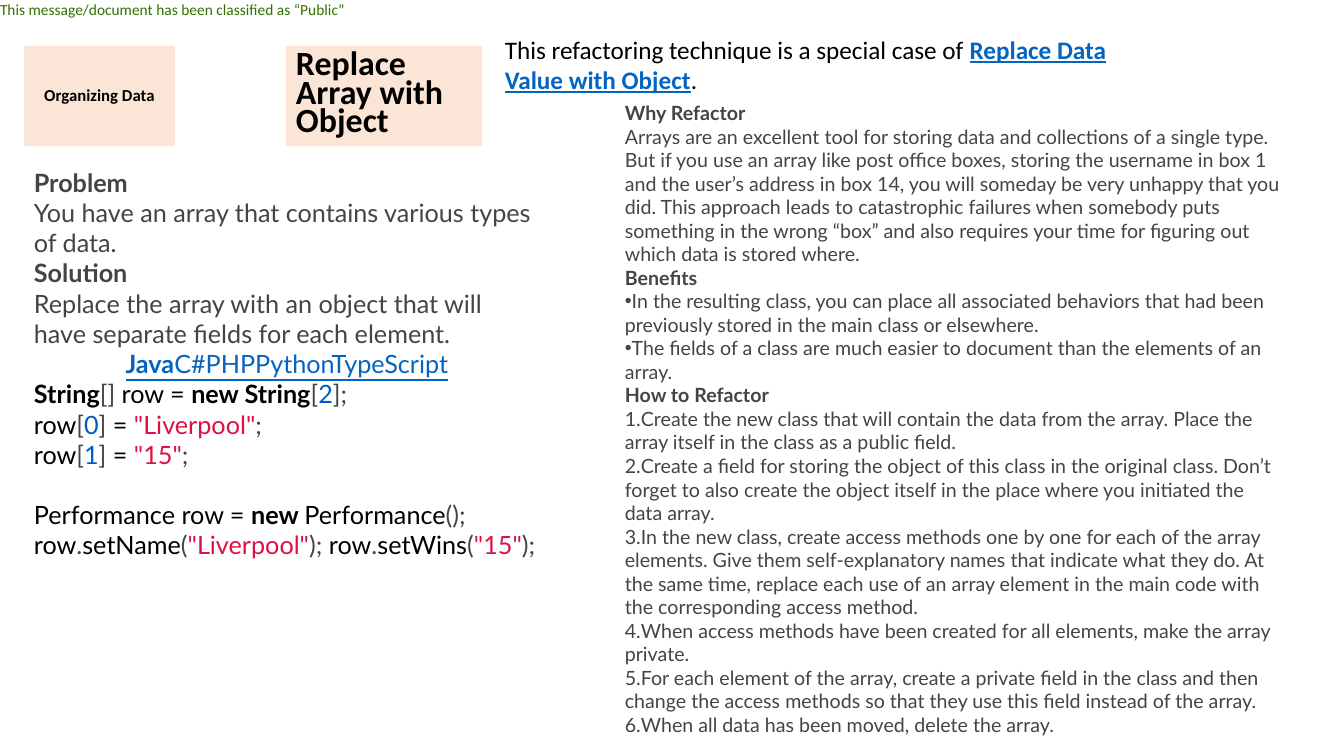
"""Build the "Replace Array with Object" refactoring slide."""
from lxml.etree import SubElement
from pptx import Presentation
from pptx.dml.color import RGBColor
from pptx.enum.shapes import MSO_SHAPE
from pptx.enum.text import MSO_ANCHOR, PP_ALIGN
from pptx.oxml.ns import qn
from pptx.util import Emu, Pt

PX = 914400 / 100.8
COLORS = {"peach": "FBE5D6", "black": "000000", "gray": "444444", "link": "0563C1",
          "number": "005CC5", "string": "DD1144", "green": "317100"}
STYLES = {
    "notice": ("green", False, False),
    "heading": ("gray", True, False),
    "body": ("gray", False, False),
    "name": ("black", False, False),
    "keyword": ("black", True, False),
    "number": ("number", False, False),
    "string": ("string", False, False),
    "link": ("link", False, True),
    "strong link": ("link", True, True),
}

NOTICE = [{"runs": [("This message/document has been classified as “Public”", "notice")]}]
CATEGORY = [{"runs": [("Organizing Data", "keyword")], "align": PP_ALIGN.CENTER}]
TITLE = [{"runs": [("Replace Array with Object", "keyword")]}]
INTRO = [{"runs": [("This refactoring technique is a special case of ", "name"),
                   ("Replace Data Value with Object", "strong link"), (".", "name")]}]
EXAMPLE = [
    {"runs": [("Problem", "heading")]},
    {"runs": [("You have an array that contains various types of data.", "body")]},
    {"runs": [("Solution", "heading")]},
    {"runs": [("Replace the array with an object that will have separate fields "
               "for each element.", "body")]},
    {"runs": [("Java", "strong link"), ("C#PHPPythonTypeScript", "link")],
     "align": PP_ALIGN.CENTER},
    {"runs": [("String", "keyword"), ("[] ", "body"), ("row = ", "name"),
              ("new String", "keyword"), ("[", "body"), ("2", "number"), ("];", "body")]},
    *({"runs": [("row", "name"), ("[", "body"), (index, "number"), ("] ", "body"),
                ("= ", "name"), (value, "string"), (";", "body")]}
      for index, value in (("0", '"Liverpool"'), ("1", '"15"'))),
    {"runs": [("Performance row = ", "name"), ("new ", "keyword"), ("Performance", "name"),
              ("(); ", "body"), ("row", "name"), (".", "body"), ("setName", "name"),
              ("(", "body"), ('"Liverpool"', "string"), ("); ", "body"), ("row", "name"),
              (".", "body"), ("setWins", "name"), ("(", "body"), ('"15"', "string"),
              (");", "body")],
     "before": 21.6},
]
SECTIONS = [
    ("Why Refactor", None, [
        "Arrays are an excellent tool for storing data and collections of a single type. But if "
        "you use an array like post office boxes, storing the username in box 1 and the user’s "
        "address in box 14, you will someday be very unhappy that you did. This approach leads "
        "to catastrophic failures when somebody puts something in the wrong “box” and also "
        "requires your time for figuring out which data is stored where."]),
    ("Benefits", "dot", [
        "In the resulting class, you can place all associated behaviors that had been "
        "previously stored in the main class or elsewhere.",
        "The fields of a class are much easier to document than the elements of an array."]),
    ("How to Refactor", "number", [
        "Create the new class that will contain the data from the array. Place the array "
        "itself in the class as a public field.",
        "Create a field for storing the object of this class in the original class. Don’t "
        "forget to also create the object itself in the place where you initiated the data array.",
        "In the new class, create access methods one by one for each of the array elements. "
        "Give them self-explanatory names that indicate what they do. At the same time, replace "
        "each use of an array element in the main code with the corresponding access method.",
        "When access methods have been created for all elements, make the array private.",
        "For each element of the array, create a private field in the class and then change "
        "the access methods so that they use this field instead of the array.",
        "When all data has been moved, delete the array."]),
]


def px(length):
    return Emu(round(length * PX))


def section_paragraphs(sections):
    paragraphs = []
    for heading, bullet, texts in sections:
        paragraphs.append({"runs": [(heading, "heading")]})
        paragraphs += [{"runs": [(text, "body")], "bullet": bullet} for text in texts]
    return paragraphs


def add_bullet(paragraph, kind):
    properties = paragraph._p.get_or_add_pPr()
    properties.set("marL", "0")
    properties.set("indent", "0")
    if kind == "dot":
        SubElement(properties, qn("a:buFont")).set("typeface", "Arial")
        SubElement(properties, qn("a:buChar")).set("char", "•")
    else:
        SubElement(properties, qn("a:buFont")).set("typeface", "+mj-lt")
        SubElement(properties, qn("a:buAutoNum")).set("type", "arabicPeriod")


def add_text(slide, paragraphs, box, size, font="Calibri", fill=None, spacing=None, inset=True):
    area = [px(length) for length in box]
    if fill:
        shape = slide.shapes.add_shape(MSO_SHAPE.RECTANGLE, *area)
        shape.shadow.inherit = False
        shape.fill.solid()
        shape.fill.fore_color.rgb = RGBColor.from_string(COLORS[fill])
        shape.line.fill.background()
    else:
        shape = slide.shapes.add_textbox(*area)
    frame = shape.text_frame
    frame.word_wrap = True
    frame.vertical_anchor = MSO_ANCHOR.MIDDLE if fill else MSO_ANCHOR.TOP
    if not inset:
        frame.margin_left = frame.margin_right = frame.margin_top = frame.margin_bottom = 0
    for position, content in enumerate(paragraphs):
        paragraph = frame.add_paragraph() if position else frame.paragraphs[0]
        if content.get("bullet"):
            add_bullet(paragraph, content["bullet"])
        paragraph.alignment = content.get("align", PP_ALIGN.LEFT)
        if spacing:
            paragraph.line_spacing = spacing
        if "before" in content:
            paragraph.space_before = Pt(content["before"])
        for text, style in content["runs"]:
            color, bold, underline = STYLES[style]
            run = paragraph.add_run()
            run.text = text
            run.font.name = font
            run.font.size = Pt(size)
            run.font.bold = bold
            run.font.underline = underline
            run.font.color.rgb = RGBColor.from_string(COLORS[color])


def main():
    presentation = Presentation()
    presentation.slide_width = px(1344)
    presentation.slide_height = px(756)
    slide = presentation.slides.add_slide(presentation.slide_layouts[6])
    add_text(slide, NOTICE, (0, 0, 378, 18), 11, inset=False)
    add_text(slide, CATEGORY, (24, 46, 151, 100), 12, fill="peach", spacing=0.9)
    add_text(slide, TITLE, (286, 46, 196, 100), 24.2, fill="peach", spacing=0.7)
    add_text(slide, INTRO, (495, 29, 676, 132), 18)
    add_text(slide, EXAMPLE, (24, 162, 526, 407), 18, font="Lato")
    add_text(slide, section_paragraphs(SECTIONS), (615, 96, 676, 651), 14, font="Lato")
    presentation.save("out.pptx")


if __name__ == "__main__":
    main()
